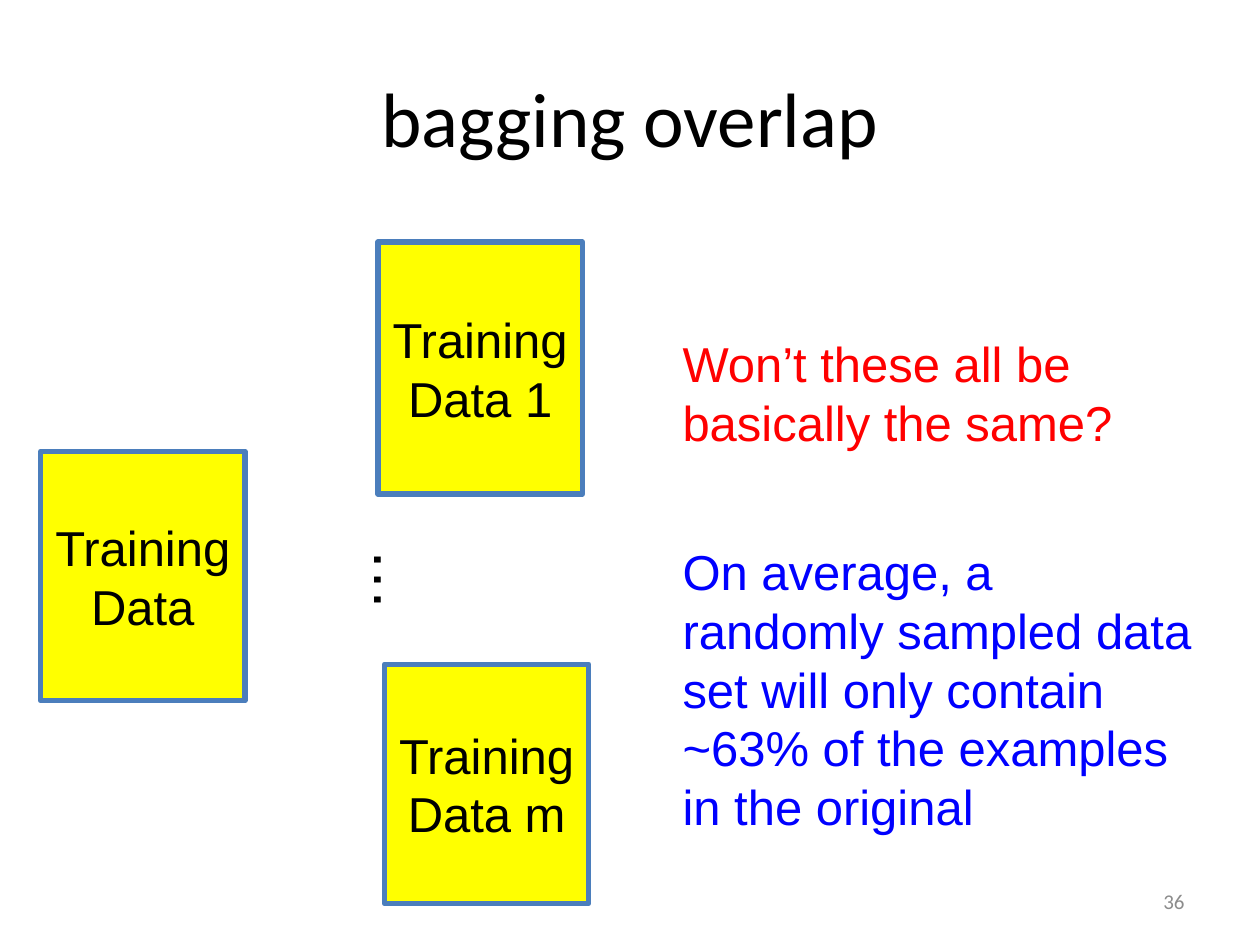
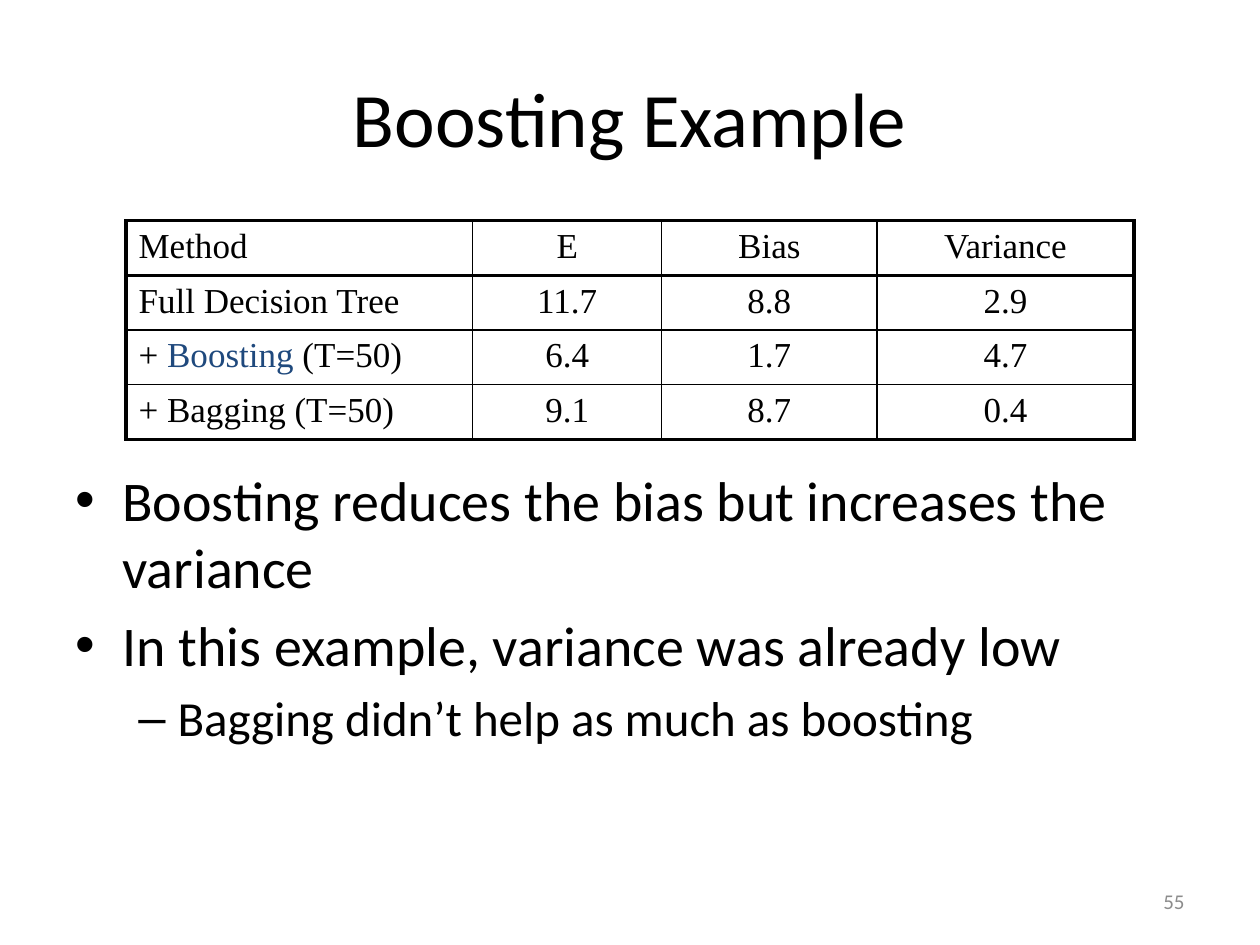
from pptx import Presentation, util as u
from pptx.dml.color import RGBColor
from pptx.enum import shapes, text
from pptx.oxml import parse_xml
from pptx.oxml.ns import nsdecls
from lxml import etree

HUES = {"ink": "000000", "card": "FFFF00", "edge": "4B7EBC", "ask": "FF0000",
        "reply": "0000FF", "page": "8C8C8C", "mark": "1F497D"}
SANS, HEAD, SERIF = "Arial", "Calibri", "Times New Roman"
LEFT, MID, RIGHT = text.PP_ALIGN.LEFT, text.PP_ALIGN.CENTER, text.PP_ALIGN.RIGHT
THICK, THIN = 2.25, 1


def hue(name):
    return RGBColor.from_string(HUES[name])


def box(*sides):
    return [u.Cm(side) for side in sides]


def style(par, size, font, color="ink", align=LEFT):
    par.alignment = align
    for run in par.runs:
        run.font.size = u.Pt(size)
        run.font.name = font
        run.font.color.rgb = hue(color)


def write(frame, words, *look):
    frame.text = words
    for par in frame.paragraphs:
        style(par, *look)


def label(slide, area, words, *look, wrap=True):
    item = slide.shapes.add_textbox(*box(*area))
    item.text_frame.word_wrap = wrap
    write(item.text_frame, words, *look)
    return item


# Shared by both slides: title and page number
def start(deck, title, page):
    slide = deck.slides.add_slide(deck.slide_layouts[5])
    head = slide.shapes.title
    head.left, head.top, head.width, head.height = box(1.27, 0.76, 22.86, 3.18)
    head.text_frame.vertical_anchor = text.MSO_ANCHOR.MIDDLE
    write(head.text_frame, title, 44, HEAD, "ink", MID)
    foot = label(slide, (18.2, 17.65, 5.93, 1.02), page, 12, HEAD, "page", RIGHT)
    foot.text_frame.vertical_anchor = text.MSO_ANCHOR.MIDDLE
    return slide


def card(slide, area, words):
    item = slide.shapes.add_shape(shapes.MSO_SHAPE.RECTANGLE, *box(*area))
    item.shadow.inherit = False
    item.fill.solid()
    item.fill.fore_color.rgb = hue("card")
    item.line.color.rgb = hue("edge")
    item.line.width = u.Pt(3)
    frame = item.text_frame
    frame.margin_left = frame.margin_right = u.Cm(0.1)
    frame.vertical_anchor = text.MSO_ANCHOR.MIDDLE
    write(frame, words, 28, SANS, "ink", MID)


# Source data on the left, sampled sets in the middle
def samples(slide, left, top):
    wide = 4.12
    dots = label(slide, (left + 6.33, top + 5.92, 1.8, 1.8), "…", 36, SANS, wrap=False)
    dots.rotation = 90
    card(slide, (left + 6.8, top, wide, 5.08), "Training\nData 1")
    card(slide, (left + 6.93, top + 8.51, wide, 4.83), "Training\nData m")
    card(slide, (left, top + 4.22, wide, 5.03), "Training\nData")


# Question and answer on the right
def remarks(slide, left, top, wide):
    label(slide, (left, top, wide, 2.64), "Won’t these all be basically the same?",
          28, SANS, "ask")
    label(slide, (left, top + 4.19, wide, 6.25),
          "On average, a randomly sampled data set will only contain "
          "~63% of the examples in the original", 28, SANS, "reply")


def border(cell, row, col, rows, cols):
    heavy = {"L": col == 0, "R": col == cols - 1, "T": row < 2,
             "B": row in (0, rows - 1)}
    props = cell._tc.get_or_add_tcPr()
    for side, bold in heavy.items():
        width = u.Pt(THICK if bold else THIN)
        props.append(parse_xml(
            f'<a:ln{side} {nsdecls("a")} w="{width}"><a:solidFill>'
            f'<a:srgbClr val="{HUES["ink"]}"/></a:solidFill></a:ln{side}>'))
    cell.fill.background()


# Table of errors by method
def scores(slide, left, top):
    data = [("Method", "E", "Bias", "Variance"),
            ("Full Decision Tree", "11.7", "8.8", "2.9"),
            ("+ Boosting (T=50)", "6.4", "1.7", "4.7"),
            ("+ Bagging (T=50)", "9.1", "8.7", "0.4")]
    widths, tall = (6.99, 3.81, 4.34, 5.18), 1.1
    rows, cols = len(data), len(widths)
    area = box(left, top, sum(widths), tall * rows)
    grid = slide.shapes.add_table(rows, cols, *area).table
    grid.first_row = grid.horz_banding = False
    for col, width in zip(grid.columns, widths):
        col.width = u.Cm(width)
    for r, line in enumerate(data):
        for c, words in enumerate(line):
            cell = grid.cell(r, c)
            write(cell.text_frame, words, 20, SERIF, "ink", MID if c else LEFT)
            border(cell, r, c, rows, cols)
    # Pick out the method the slide is about
    par = grid.cell(2, 0).text_frame.paragraphs[0]
    par.clear()
    for words in ("+ ", "Boosting", " (T=50)"):
        par.add_run().text = words
    style(par, 20, SERIF)
    par.runs[1].font.color.rgb = hue("mark")


def bullet(par, sign, indent, hang):
    props = par._p.get_or_add_pPr()
    props.set("marL", str(u.Cm(indent)))
    props.set("indent", str(-u.Cm(hang)))
    font = etree.SubElement(props, "{%s}buFont" % props.nsmap["a"])
    font.set("typeface", SANS)
    mark = etree.SubElement(props, "{%s}buChar" % props.nsmap["a"])
    mark.set("char", sign)


# Bulleted findings under the table
def points(slide, area):
    lines = [(0, "Boosting reduces the bias but increases the variance"),
             (0, "In this example, variance was already low"),
             (1, "Bagging didn’t help as much as boosting")]
    looks = [(32, "•", 0.95, 0.95), (28, "–", 2.06, 0.79)]
    item = label(slide, area, "\n".join(words for _, words in lines), 32, HEAD)
    for i, (par, (level, _)) in enumerate(zip(item.text_frame.paragraphs, lines)):
        size, *signs = looks[level]
        par.level = level
        style(par, size, HEAD)
        par.space_before = u.Pt(0.2 * size if i else 0)
        bullet(par, *signs)


def main():
    deck = Presentation()
    deck.slide_width, deck.slide_height = box(25.4, 19.05)

    overlap = start(deck, "bagging overlap", "36")
    samples(overlap, 0.82, 4.88)
    remarks(overlap, 13.51, 6.6, 10.85)

    example = start(deck, "Boosting Example", "55")
    points(example, (1.27, 9.25, 22.86, 8.4))
    scores(example, 2.54, 4.45)

    deck.save("out.pptx")


if __name__ == "__main__":
    main()
